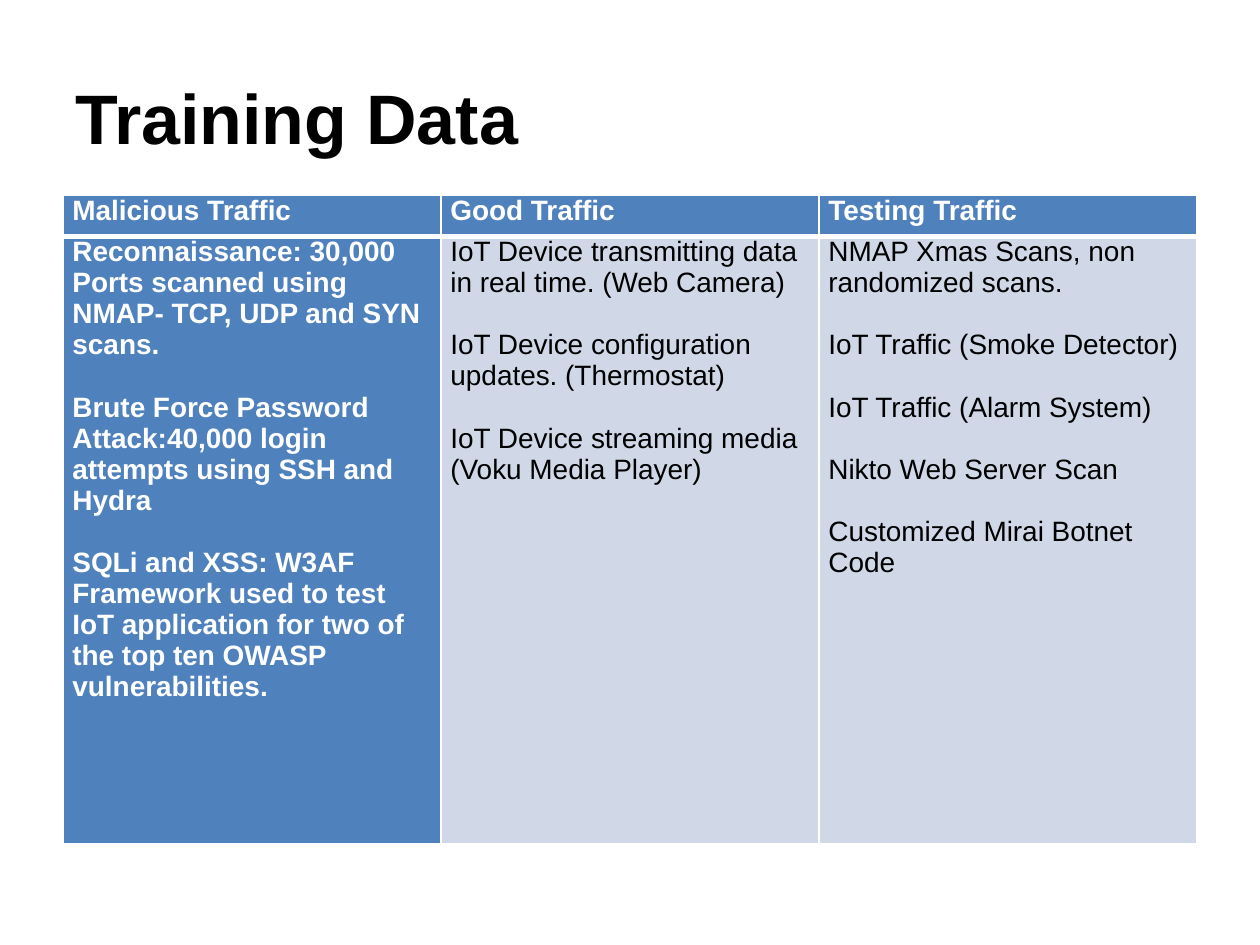
from lxml.etree import SubElement as Sub
from pptx import Presentation
from pptx.dml.color import RGBColor as RGB
from pptx.enum.shapes import MSO_CONNECTOR as Link
from pptx.enum.text import MSO_ANCHOR as Anchor
from pptx.oxml.ns import qn
from pptx.util import Cm, Pt

BLACK = RGB(0x00, 0x00, 0x00)
WHITE = RGB(0xFF, 0xFF, 0xFF)
BLUE = RGB(0x4F, 0x81, 0xBD)
PALE = RGB(0xD0, 0xD8, 0xE8)

TITLE = "Training Data"
TRAFFIC = {
    "Malicious Traffic": [
        "Reconnaissance: 30,000 Ports scanned using NMAP- TCP, UDP and SYN scans.",
        "Brute Force Password Attack:40,000 login attempts using SSH and Hydra",
        "SQLi and XSS: W3AF Framework used to test IoT application for two of "
        "the top ten OWASP vulnerabilities.",
    ],
    "Good Traffic": [
        "IoT Device transmitting data in real time. (Web Camera)",
        "IoT Device configuration updates. (Thermostat)",
        "IoT Device streaming media (Voku Media Player)",
    ],
    "Testing Traffic": [
        "NMAP Xmas Scans, non randomized scans.",
        "IoT Traffic (Smoke Detector)",
        "IoT Traffic (Alarm System)",
        "Nikto Web Server Scan",
        "Customized Mirai Botnet Code",
    ],
}

LEFT, WIDTH = Cm(1.27), Cm(22.86)
HEAD, BODY = Cm(0.83), Cm(12.23)
LINE = Pt(17.75)


def write(frame, texts, size=16, color=BLACK, bold=False, line=None):
    """Write one paragraph per text, a blank line's height apart."""
    frame.word_wrap = True
    for i, text in enumerate(texts):
        para = frame.paragraphs[0] if i == 0 else frame.add_paragraph()
        if i:
            para.space_before = line
        para.line_spacing = line
        run = para.add_run()
        run.text = text
        font = run.font
        font.name, font.size, font.bold = "Arial", Pt(size), bold
        font.color.rgb = color


def border(cell, **widths):
    """Draw white cell edges, given in the order L, R, T, B."""
    props = cell._tc.get_or_add_tcPr()
    for side, width in widths.items():
        edge = Sub(props, qn(f"a:ln{side}"), w=str(Pt(width)))
        fill = Sub(edge, qn("a:solidFill"))
        Sub(fill, qn("a:srgbClr"), val=str(WHITE))


def fill_cell(cell, texts, row, col):
    strong = row == 0 or col == 0
    cell.margin_left = cell.margin_right = Cm(0.19)
    cell.margin_top = cell.margin_bottom = 0
    border(cell, L=1, R=1, T=3 if row else 1, B=1 if row else 3)
    cell.fill.solid()
    cell.fill.fore_color.rgb = BLUE if strong else PALE
    write(cell.text_frame, texts, color=WHITE if strong else BLACK,
          bold=strong, line=LINE)


def main():
    deck = Presentation()
    deck.slide_width, deck.slide_height = Cm(25.4), Cm(19.05)
    slide = deck.slides.add_slide(deck.slide_layouts[6])

    level = Cm(16.94)
    rule = slide.shapes.add_connector(
        Link.STRAIGHT, LEFT, level, LEFT + WIDTH, level)
    rule.line.color.rgb, rule.line.width = BLACK, Pt(0.5)
    Sub(rule._element.spPr, qn("a:effectLst"))

    title = slide.shapes.add_textbox(LEFT, Cm(0.76), WIDTH, Cm(3.18))
    title.text_frame.vertical_anchor = Anchor.MIDDLE
    write(title.text_frame, [TITLE], size=40, bold=True)

    table = slide.shapes.add_table(
        2, len(TRAFFIC), LEFT, Cm(3.94), WIDTH, HEAD + BODY).table
    table.rows[0].height, table.rows[1].height = HEAD, BODY
    for col, (name, items) in enumerate(TRAFFIC.items()):
        for row, texts in enumerate(([name], items)):
            fill_cell(table.cell(row, col), texts, row, col)

    deck.save("out.pptx")


if __name__ == "__main__":
    main()
